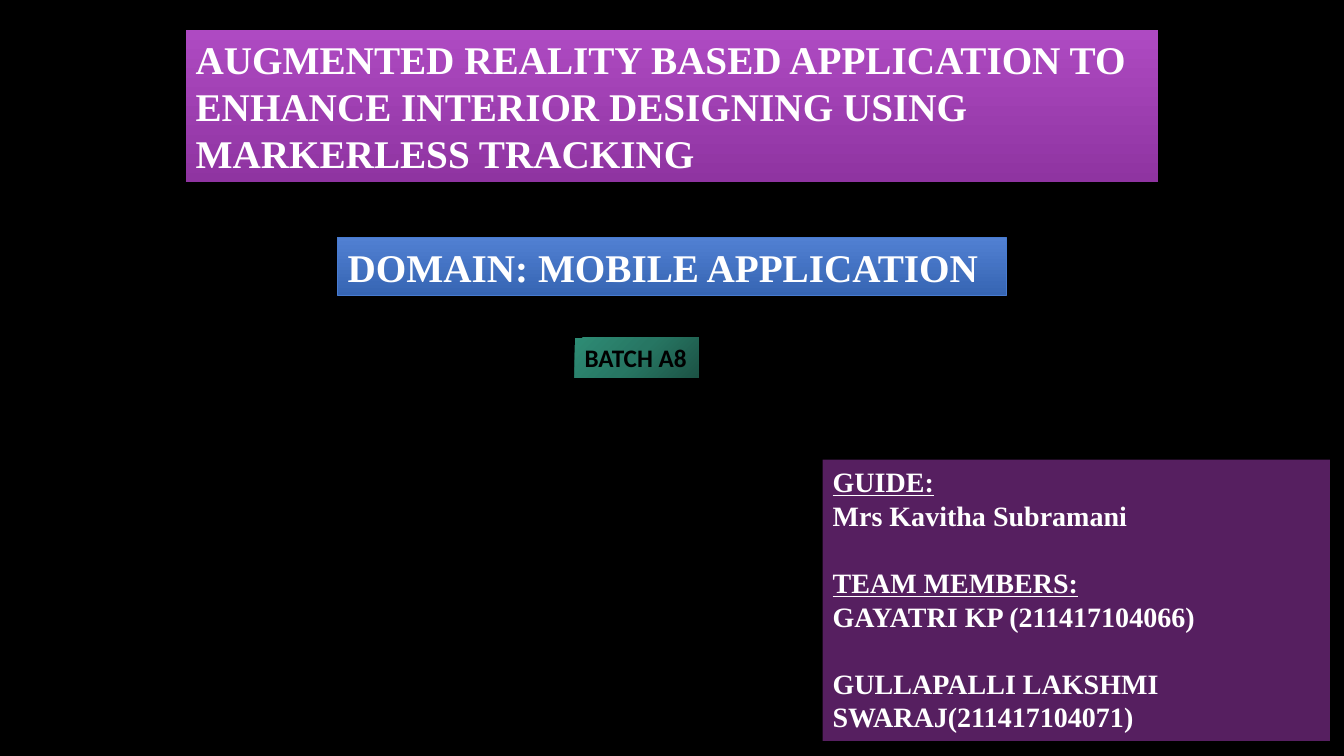
from lxml import etree
from pptx import Presentation
from pptx.dml.color import RGBColor
from pptx.enum.text import MSO_ANCHOR, MSO_AUTO_SIZE, PP_ALIGN
from pptx.oxml import parse_xml
from pptx.oxml.ns import nsdecls, qn
from pptx.util import Inches, Pt

COLORS = {
    "black": "000000", "white": "FFFFFF",
    "purple_top": "AE4AC2", "purple_bottom": "8F34A1",
    "blue_top": "5180D2", "blue_bottom": "3665B3", "blue_line": "477BD1",
    "green_dark": "1C5345", "green_mid": "277663", "green_light": "2E8C75",
    "violet": "AC3EC1",
}
SERIF = "Times New Roman"
DOWNWARD = '<a:lin ang="5400000" scaled="0"/>'
FROM_CORNER = '<a:path path="circle"><a:fillToRect l="100000" t="100000"/></a:path>'


def rgb(name):
    return RGBColor.from_string(COLORS[name])


def fill_gradient(sp, names, direction):
    """Spread the named colours evenly along the gradient."""
    step = 100000 // (len(names) - 1)
    stops = "".join(
        f'<a:gs pos="{i * step}"><a:srgbClr val="{COLORS[name]}"/></a:gs>'
        for i, name in enumerate(names))
    sp.fill.gradient()
    old = sp.element.spPr.find(qn("a:gradFill"))
    new = parse_xml(f'<a:gradFill {nsdecls("a")} rotWithShape="1">'
                    f"<a:gsLst>{stops}</a:gsLst>{direction}</a:gradFill>")
    old.getparent().replace(old, new)


def fill_transparent(sp, name, percent):
    sp.fill.solid()
    sp.fill.fore_color.rgb = rgb(name)
    color = sp.element.spPr.find(qn("a:solidFill"))[0]
    etree.SubElement(color, qn("a:alpha"), val=str(percent * 1000))


def place(sp, left, top, width, height):
    sp.left, sp.top = Inches(left), Inches(top)
    sp.width, sp.height = Inches(width), Inches(height)
    tf = sp.text_frame
    tf.word_wrap = True
    tf.auto_size = MSO_AUTO_SIZE.SHAPE_TO_FIT_TEXT
    tf.vertical_anchor = MSO_ANCHOR.TOP
    return sp


def add_box(s, *at):
    return place(s.shapes.add_textbox(0, 0, 0, 0), *at)


def write(p, text, size=28, font=SERIF, color="white", underline=False, before=0):
    p.alignment = PP_ALIGN.LEFT
    p.space_before = Pt(before)
    r = p.add_run()
    r.text = text
    r.font.size, r.font.name = Pt(size), font
    r.font.bold, r.font.underline = True, underline
    r.font.color.rgb = rgb(color)


def write_credits(tf):
    lines = [
        ("GUIDE:", {"underline": True}),
        ("Mrs Kavitha Subramani", {}),
        ("TEAM MEMBERS:", {"underline": True, "before": 24}),
        ("GAYATRI KP (211417104066)", {}),
        ("GULLAPALLI LAKSHMI SWARAJ(211417104071)", {"before": 24}),
    ]
    for i, (text, style) in enumerate(lines):
        p = tf.add_paragraph() if i else tf.paragraphs[0]
        write(p, text, size=20, **style)


def main():
    prs = Presentation()
    prs.slide_width, prs.slide_height = Inches(13.33), Inches(7.5)
    s = prs.slides.add_slide(prs.slide_layouts[5])
    s.background.fill.solid()
    s.background.fill.fore_color.rgb = rgb("black")

    # Project title
    title = place(s.shapes.title, 1.84, 0.3, 9.65, 1.51)
    fill_gradient(title, ["purple_top", "purple_bottom"], DOWNWARD)
    write(title.text_frame.paragraphs[0],
          "AUGMENTED REALITY BASED APPLICATION TO ENHANCE INTERIOR "
          "DESIGNING USING MARKERLESS TRACKING")

    # Domain
    domain = add_box(s, 3.35, 2.36, 6.63, 0.57)
    fill_gradient(domain, ["blue_top", "blue_bottom"], DOWNWARD)
    domain.line.color.rgb = rgb("blue_line")
    domain.line.width = Pt(0.75)
    write(domain.text_frame.paragraphs[0], "DOMAIN: MOBILE APPLICATION")

    # Guide and team members
    team = add_box(s, 8.16, 4.56, 5.03, 2.79)
    fill_transparent(team, "violet", 50)
    write_credits(team.text_frame)

    # Batch label
    batch = add_box(s, 5.7, 3.35, 1.23, 0.4)
    fill_gradient(batch, ["green_dark", "green_mid", "green_light"], FROM_CORNER)
    write(batch.text_frame.paragraphs[0], "BATCH A8",
          size=18, font="Calibri", color="black")

    prs.save("out.pptx")


if __name__ == "__main__":
    main()
